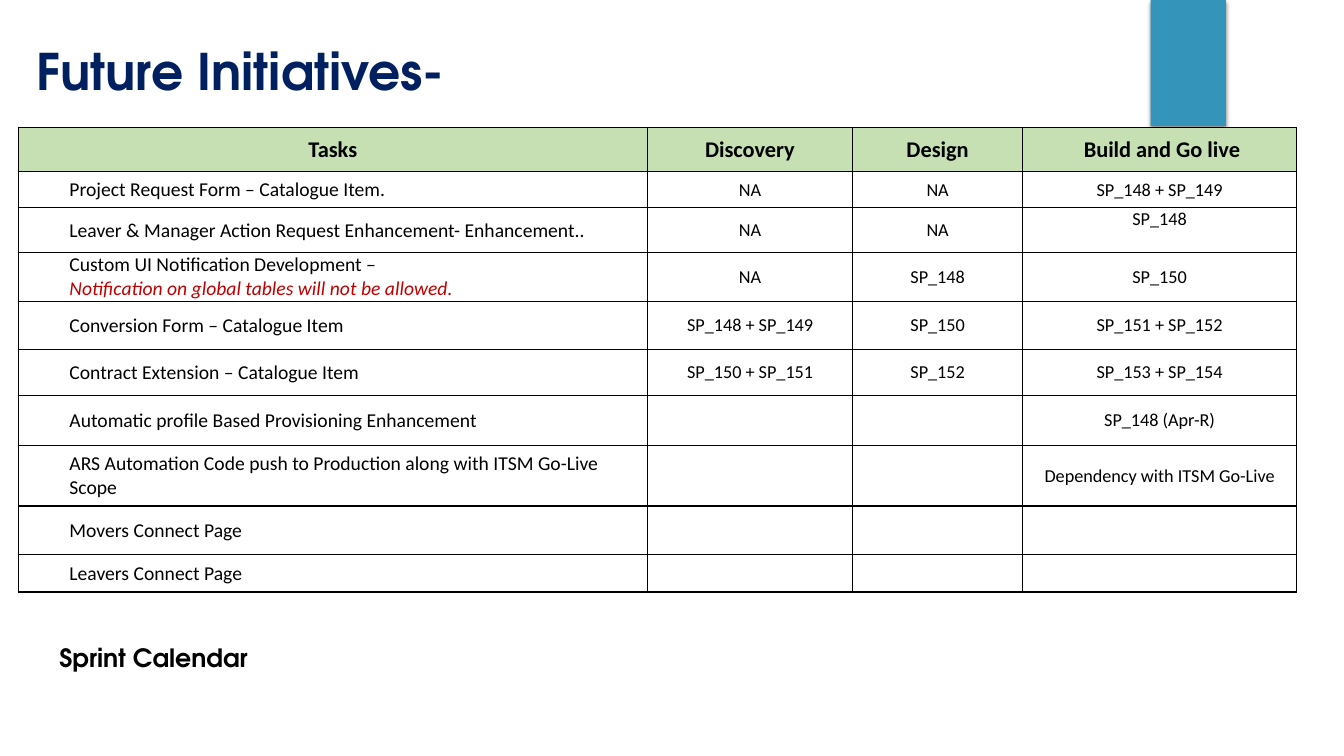
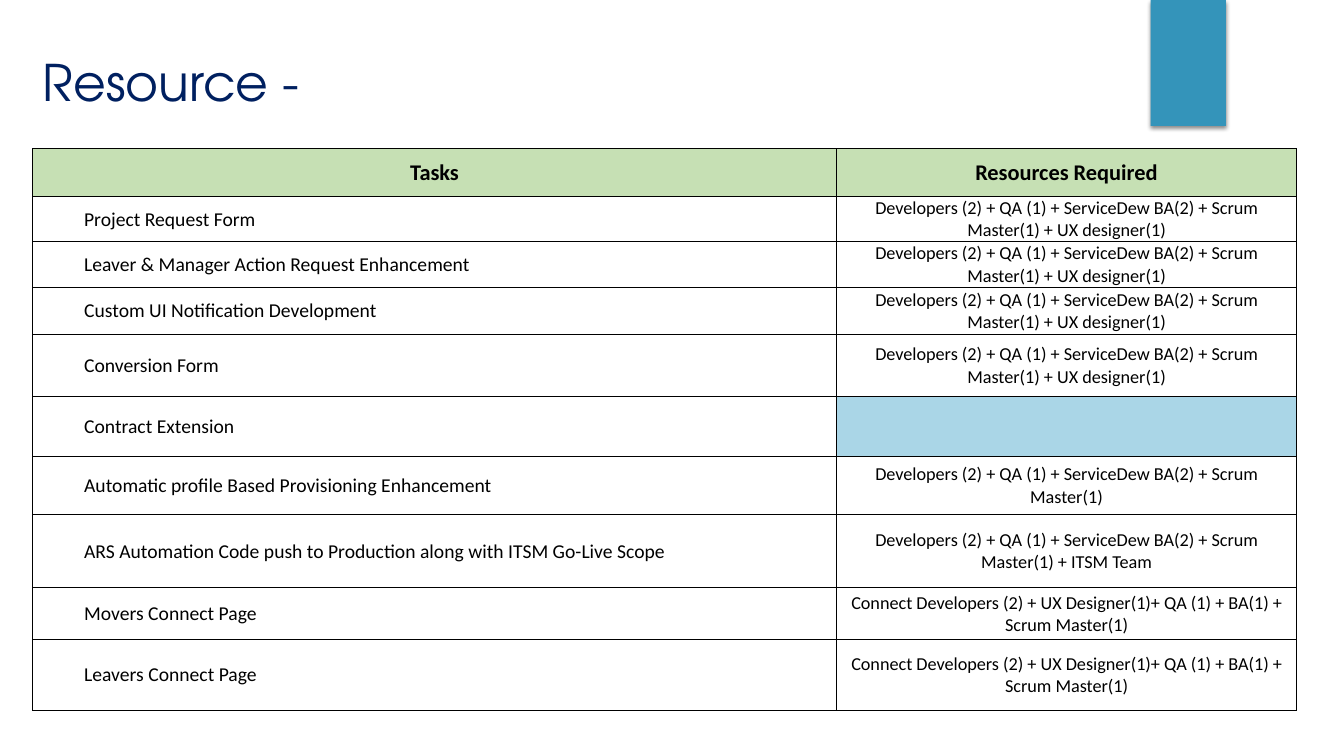
from dataclasses import dataclass

from lxml.etree import SubElement
from pptx import Presentation
from pptx.dml.color import RGBColor as Color
from pptx.enum.shapes import MSO_SHAPE as ShapeKind
from pptx.enum.text import MSO_ANCHOR as Anchor, MSO_AUTO_SIZE as AutoSize, PP_ALIGN as Align
from pptx.oxml import parse_xml
from pptx.oxml.ns import nsdecls, qn
from pptx.util import Pt


@dataclass(frozen=True)
class Theme:
    navy: str = "002060"
    black: str = "000000"
    red: str = "C00000"
    band: str = "3494BA"
    header: str = "C6E0B4"
    pending: str = "AAD6E7"
    display: str = "TeX Gyre Adventor"
    body: str = "Calibri"
    title_size: int = 36
    caption_size: int = 18
    header_size: int = 16
    task_size: int = 14
    value_size: int = 13
    task_indent: float = 36.6
    thin: float = 0.5
    heavy: float = 1
    heavy_rules: tuple = (0, 1, 8, 9, 10)


class Deck:
    """Holds the theme and the current slide, and draws each kind of element."""

    def __init__(self, theme):
        self.theme = theme
        self.presentation = Presentation()
        self.presentation.slide_width = Pt(960)
        self.presentation.slide_height = Pt(540)
        self.layout = self.presentation.slide_layouts[5]
        self.slide = None

    def add_slide(self):
        first = self.slide is None
        self.slide = self.presentation.slides.add_slide(self.layout)
        if first:
            self.add_master_band()

    def add_master_band(self):
        shape = self.slide.shapes.add_shape(ShapeKind.RECTANGLE, Pt(822), Pt(0), Pt(53.7), Pt(90))
        shape.fill.solid()
        shape.fill.fore_color.rgb = Color.from_string(self.theme.band)
        shape.line.fill.background()
        shape.shadow.inherit = False
        effects = shape.element.spPr.find(qn("a:effectLst"))
        shadow = SubElement(effects, qn("a:outerShdw"), blurRad=str(Pt(3)), dist=str(Pt(2)),
                            dir="5400000", rotWithShape="0")
        color = SubElement(shadow, qn("a:srgbClr"), val=self.theme.black)
        SubElement(color, qn("a:alpha"), val="45000")
        master_tree = self.presentation.slide_master.placeholders[0].element.getparent()
        master_tree.insert(2, shape.element)

    def add_run(self, paragraph, text, size, font, color, bold=False, italic=False):
        run = paragraph.add_run()
        run.text = text
        run.font.size = Pt(size)
        run.font.name = font
        run.font.bold = bold
        run.font.italic = italic
        run.font.color.rgb = Color.from_string(color)

    def fill_frame(self, shape, text, size, color, bold):
        frame = shape.text_frame
        frame.word_wrap = True
        frame.auto_size = AutoSize.NONE
        frame.vertical_anchor = Anchor.TOP
        paragraph = frame.paragraphs[0]
        paragraph.alignment = Align.LEFT
        self.add_run(paragraph, text, size, self.theme.display, color, bold)

    def add_title(self, text, left, top, width, height, bold=False):
        title = self.slide.shapes.title
        title.left, title.top, title.width, title.height = map(Pt, (left, top, width, height))
        self.fill_frame(title, text, self.theme.title_size, self.theme.navy, bold)

    def add_caption(self, text, left, top, width, height):
        box = self.slide.shapes.add_textbox(Pt(left), Pt(top), Pt(width), Pt(height))
        self.fill_frame(box, text, self.theme.caption_size, self.theme.black, True)

    def add_table(self, rows, left, top, widths, heights):
        frame = self.slide.shapes.add_table(len(rows), len(widths), Pt(left), Pt(top),
                                            Pt(sum(widths)), Pt(sum(heights)))
        table = frame.table
        table.first_row = table.horz_banding = False
        for column, width in zip(table.columns, widths):
            column.width = Pt(width)
        for row, height in zip(table.rows, heights):
            row.height = Pt(height)
        for row_index, values in enumerate(rows):
            for column_index, value in enumerate(values):
                cell = table.cell(row_index, column_index)
                self.fill_cell(cell, value, row_index == 0, column_index == 0)
                self.add_borders(cell, row_index, column_index)
        return table

    def fill_cell(self, cell, value, is_header, is_first):
        theme = self.theme
        is_task = is_first and not is_header
        cell.vertical_anchor = Anchor.MIDDLE
        cell.margin_left = Pt(theme.task_indent if is_task else 0.7)
        cell.margin_right = cell.margin_top = Pt(0.7)
        cell.margin_bottom = Pt(0)
        if is_header:
            self.shade(cell, theme.header)
        else:
            cell.fill.background()
        if not value:
            return
        text, *notes = value if isinstance(value, tuple) else (value,)
        size = theme.header_size if is_header else theme.task_size if is_task else theme.value_size
        paragraph = cell.text_frame.paragraphs[0]
        paragraph.alignment = Align.LEFT if is_task else Align.CENTER
        self.add_run(paragraph, text, size, theme.body, theme.black, bold=is_header)
        for note in notes:
            paragraph = cell.text_frame.add_paragraph()
            self.add_run(paragraph, note, size, theme.body, theme.red, italic=True)

    def shade(self, cell, color):
        cell.fill.solid()
        cell.fill.fore_color.rgb = Color.from_string(color)

    def add_borders(self, cell, row_index, column_index):
        theme = self.theme
        heavy_sides = {"L": column_index == 0, "R": False,
                       "T": row_index in theme.heavy_rules,
                       "B": row_index + 1 in theme.heavy_rules}
        properties = cell._tc.get_or_add_tcPr()
        for position, (side, is_heavy) in enumerate(heavy_sides.items()):
            width = Pt(theme.heavy if is_heavy else theme.thin)
            properties.insert(position, parse_xml(
                f'<a:ln{side} {nsdecls("a")} w="{width}"><a:solidFill>'
                f'<a:srgbClr val="{theme.black}"/></a:solidFill></a:ln{side}>'))


def build_initiatives(deck):
    deck.add_slide()
    rows = [
        ("Tasks", "Discovery", "Design", " Build and Go live"),
        ("Project Request Form – Catalogue Item.", "NA", "NA", "SP_148 + SP_149"),
        ("Leaver & Manager Action Request Enhancement- Enhancement..", "NA", "NA", "SP_148"),
        (("Custom UI Notification Development –",
          "Notification on global tables will not be allowed."), "NA", "SP_148", "SP_150"),
        ("Conversion Form – Catalogue Item", "SP_148 + SP_149", "SP_150", "SP_151 + SP_152"),
        ("Contract Extension – Catalogue Item", "SP_150 + SP_151", "SP_152", "SP_153 + SP_154"),
        ("Automatic profile Based Provisioning Enhancement", "", "", "SP_148 (Apr-R)"),
        ("ARS Automation Code push to Production along with ITSM Go-Live Scope", "", "",
         "Dependency with ITSM Go-Live"),
        ("Movers Connect Page", "", "", ""),
        ("Leavers Connect Page", "", "", ""),
    ]
    table = deck.add_table(rows, 13, 91, (449.5, 146.5, 121.5, 195.5),
                           (31.5, 25.7, 32, 35, 34.3, 33, 35.5, 43.5, 34.5, 27))
    table.cell(2, 3).vertical_anchor = Anchor.TOP
    deck.add_title("Future Initiatives-", 19, 24.8, 554, 51, bold=True)
    deck.add_caption("Sprint Calendar", 35.3, 455.5, 301, 29)


def build_resources(deck):
    deck.add_slide()
    core_team = "Developers (2) + QA (1) + ServiceDew BA(2) + Scrum Master(1)"
    design_team = core_team + " + UX designer(1)"
    connect_team = "Connect Developers (2) + UX Designer(1)+ QA (1) + BA(1) + Scrum Master(1)"
    rows = [
        ("Tasks", "Resources Required"),
        ("Project Request Form", design_team),
        ("Leaver & Manager Action Request Enhancement", design_team),
        ("Custom UI Notification Development", design_team),
        ("Conversion Form", design_team),
        ("Contract Extension", ""),
        ("Automatic profile Based Provisioning Enhancement", core_team),
        ("ARS Automation Code push to Production along with ITSM Go-Live Scope",
         core_team + " + ITSM Team"),
        ("Movers Connect Page", connect_team),
        ("Leavers Connect Page", connect_team),
    ]
    table = deck.add_table(rows, 23.5, 106.2, (573.8, 329),
                           (34, 32, 32, 34, 44, 43, 41.5, 52.3, 37, 50.5))
    deck.shade(table.cell(5, 1), deck.theme.pending)
    deck.add_title("Resource -", 23.5, 32.8, 690, 55.5)


def main():
    deck = Deck(Theme())
    build_initiatives(deck)
    build_resources(deck)
    deck.presentation.save("out.pptx")


if __name__ == "__main__":
    main()
